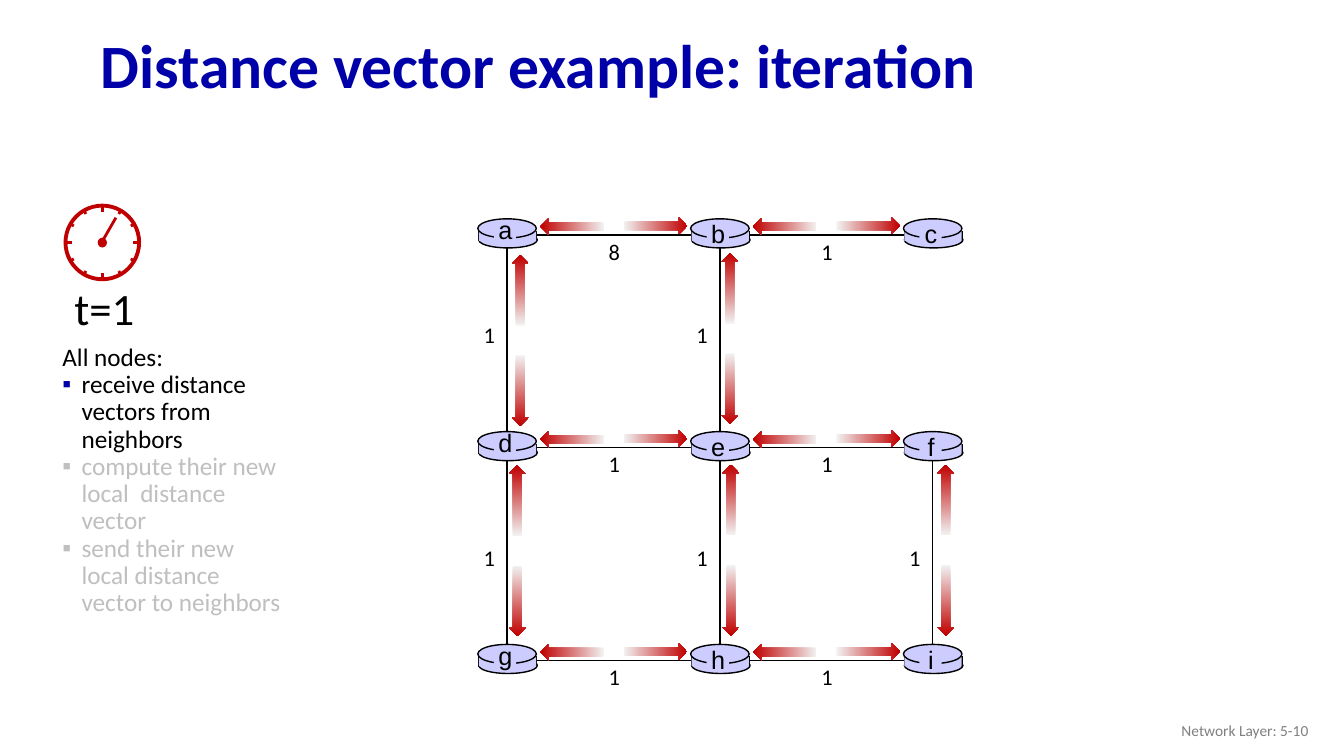
from math import cos, pi, sin

from lxml import etree
from pptx import Presentation
from pptx.dml.color import RGBColor
from pptx.enum.shapes import MSO_CONNECTOR, MSO_SHAPE
from pptx.enum.text import MSO_ANCHOR, MSO_AUTO_SIZE, PP_ALIGN
from pptx.oxml.ns import qn
from pptx.util import Pt

STRAIGHT = MSO_CONNECTOR.STRAIGHT
RECTANGLE, OVAL, ARROW = MSO_SHAPE.RECTANGLE, MSO_SHAPE.OVAL, MSO_SHAPE.RIGHT_ARROW
MIDDLE, TOP = MSO_ANCHOR.MIDDLE, MSO_ANCHOR.TOP
LEFT, CENTER, RIGHT = PP_ALIGN.LEFT, PP_ALIGN.CENTER, PP_ALIGN.RIGHT
NO_AUTOSIZE = MSO_AUTO_SIZE.NONE

BLACK, WHITE, BLUE, RED = "000000", "FFFFFF", "0000A8", "C00000"
PALE_RED, LILAC, GRAY, FADED = "F2F2F2", "CCCCFF", "7F7F7F", "BFBFBF"

SPACING = 152
COLUMNS = [362.2 + SPACING * index for index in range(3)]
ROWS = [167.8 + SPACING * index for index in range(3)]
NODE_ROWS = ["abc", "def", "ghi"]
ROW_COSTS = ["81", "11", "11"]
# column, row, arrow offset from the link, upper arrow's distance from the node, label's distance
VERTICAL_LINKS = [
    (0, 0, 9.4, 39.6, 58),
    (1, 0, 7.2, 38.2, 58),
    (0, 1, 7.2, 37.8, 65.4),
    (1, 1, 7.9, 37.4, 65.4),
    (2, 1, 9.4, 37.4, 65.4),
]
STEPS = [
    ("All nodes:", BLACK, None),
    ("receive distance vectors from neighbors", BLACK, BLUE),
    ("compute their new local  distance vector", FADED, FADED),
    ("send their new local distance vector to neighbors", FADED, FADED),
]


def rgb(value):
    """Turn a hex string into a colour."""
    return RGBColor.from_string(value)


def place(shape, left, top, width, height):
    """Set a shape's position and size in points."""
    shape.left, shape.top = Pt(left), Pt(top)
    shape.width, shape.height = Pt(width), Pt(height)


def format_paragraph(paragraph, size, color, font="Calibri", align=LEFT, bold=False):
    """Set the alignment and font of a paragraph."""
    paragraph.alignment = align
    paragraph.font.size, paragraph.font.name = Pt(size), font
    paragraph.font.bold, paragraph.font.color.rgb = bold, rgb(color)


def add_text(slide, text, box, size, color=BLACK, font="Calibri", align=LEFT, anchor=TOP):
    """Add a one-line text box."""
    shape = slide.shapes.add_textbox(*map(Pt, box))
    frame = shape.text_frame
    frame.word_wrap, frame.vertical_anchor = False, anchor
    frame.text = text
    format_paragraph(frame.paragraphs[0], size, color, font, align)


def add_shape(slide, kind, box, fill=None, line=None, width=1):
    """Add a preset shape with an optional fill and outline."""
    shape = slide.shapes.add_shape(kind, *map(Pt, box))
    shape.shadow.inherit = False
    if fill:
        shape.fill.solid()
        shape.fill.fore_color.rgb = rgb(fill)
    else:
        shape.fill.background()
    if line:
        shape.line.color.rgb, shape.line.width = rgb(line), Pt(width)
    else:
        shape.line.fill.background()
    return shape


def add_line(slide, start, end, color=BLACK, width=1):
    """Add a straight line between two points."""
    connector = slide.shapes.add_connector(STRAIGHT, *map(Pt, (*start, *end)))
    connector.line.color.rgb, connector.line.width = rgb(color), Pt(width)
    etree.SubElement(connector._element.spPr, qn("a:effectLst"))
    return connector


def add_arrow(slide, center_x, center_y, length, rotation):
    """Add a block arrow that fades in towards its tip."""
    box = (center_x - length / 2, center_y - 6.1, length, 12.2)
    arrow = add_shape(slide, ARROW, box)
    arrow.rotation = rotation
    arrow.fill.gradient()
    arrow.fill.gradient_angle = 0
    for stop, color in zip(arrow.fill.gradient_stops, (PALE_RED, RED)):
        stop.color.rgb = rgb(color)


def add_title(slide, text):
    """Fill the title placeholder."""
    title = slide.shapes.title
    place(title, 64.8, 13.7, 828, 70.6)
    title.text_frame.text = text
    title.text_frame.vertical_anchor = MIDDLE
    title.text_frame.paragraphs[0].line_spacing = 0.9
    format_paragraph(title.text_frame.paragraphs[0], 44, BLUE, bold=True)


def set_bullet(paragraph, color):
    """Give a paragraph a square bullet, or none without a colour."""
    properties = paragraph._p.get_or_add_pPr()
    indent = Pt(13.7) if color else 0
    properties.set("marL", str(indent))
    properties.set("indent", str(-indent))
    if color:
        bullet_color = etree.SubElement(properties, qn("a:buClr"))
        etree.SubElement(bullet_color, qn("a:srgbClr"), val=color)
        etree.SubElement(properties, qn("a:buFont"), typeface="Arial")
        etree.SubElement(properties, qn("a:buChar"), char="▪")
    else:
        etree.SubElement(properties, qn("a:buNone"))


def add_steps(slide):
    """Fill the body placeholder with the steps of one iteration."""
    body = slide.placeholders[1]
    place(body, 37.4, 242.6, 172.8, 203.8)
    frame = body.text_frame
    frame.auto_size, frame.vertical_anchor = NO_AUTOSIZE, TOP
    frame.text = "\n".join(text for text, _, _ in STEPS)
    for paragraph, (_, color, bullet_color) in zip(frame.paragraphs, STEPS):
        paragraph.line_spacing, paragraph.space_before = 0.9, Pt(0)
        set_bullet(paragraph, bullet_color)
        format_paragraph(paragraph, 18, color)


def add_clock(slide, center_x, center_y):
    """Draw the clock with twelve ticks, a hub and one hand."""
    add_shape(slide, OVAL, (center_x - 26.3, center_y - 26.3, 52.6, 52.6), line=RED, width=2.75)
    for hour in range(12):
        angle = hour * pi / 6
        inner = 22 if hour % 3 == 0 else 23.5
        start, end = [
            (center_x + radius * sin(angle), center_y - radius * cos(angle))
            for radius in (inner, 27)
        ]
        add_line(slide, start, end, RED, 2)
    add_shape(slide, OVAL, (center_x - 3.3, center_y - 3.4, 6.6, 7), fill=RED)
    add_line(slide, (center_x + 9.7, center_y - 17.7), (center_x - 1.1, center_y + 1), RED, 2)


def add_links(slide):
    """Draw the grid of links, leaving out the one from c to f."""
    left, middle_x, right = COLUMNS
    top, middle_y, bottom = ROWS
    square = add_shape(slide, RECTANGLE, (left, top, right - left, bottom - top), line=BLACK)
    vertical = add_line(slide, (middle_x, bottom), (middle_x, top))
    vertical.begin_connect(square, 2)
    vertical.end_connect(square, 0)
    horizontal = add_line(slide, (left, middle_y), (right, middle_y))
    horizontal.begin_connect(square, 1)
    horizontal.end_connect(square, 3)
    add_shape(slide, RECTANGLE, (right - 6.5, top + 5.7, 10, 146.2), fill=WHITE)


def add_node(slide, name, x, y, label_top):
    """Draw a router disc with its letter."""
    add_shape(slide, OVAL, (x - 20.2, y - 2.2, 41.8, 11.5), LILAC, BLACK)
    for side in (x - 20.2, x + 21):
        add_line(slide, (side, y - 2.9), (side, y + 4.3))
    add_shape(slide, RECTANGLE, (x - 20.2, y - 2.9, 41, 7.2), LILAC)
    add_shape(slide, OVAL, (x - 20.9, y - 11.5, 41.8, 13.7), LILAC, BLACK)
    add_shape(slide, RECTANGLE, (x - 9.4, y - 7.9, 15.8, 14.4), LILAC)
    add_text(slide, name, (x - 13.4, label_top, 24.5, 28.8), 18, font="Arial", align=CENTER)


def add_cost(slide, cost, left, top):
    """Write the cost of a link."""
    add_text(slide, cost, (left, top, 23.8, 26.6), 16)


def main():
    """Build the slide and save it."""
    presentation = Presentation()
    presentation.slide_width, presentation.slide_height = Pt(960), Pt(540)
    slide = presentation.slides.add_slide(presentation.slide_layouts[1])
    add_title(slide, "Distance vector example: iteration")
    add_text(slide, "Network Layer: 5-10", (725.8, 507.6, 216, 28.8), 11, GRAY,
             align=RIGHT, anchor=MIDDLE)
    add_steps(slide)
    add_text(slide, "t=1", (46.1, 197.3, 58.3, 46.1), 32)
    add_clock(slide, 73.1, 173.2)
    add_links(slide)
    for y, names, costs in zip(ROWS, NODE_ROWS, ROW_COSTS):
        for x, name in zip(COLUMNS, names):
            add_node(slide, name, x, y, y - (18 if x == COLUMNS[0] else 15.1))
        for x, cost in zip(COLUMNS, costs):
            add_cost(slide, cost, x + 65.5, y - 1.5)
            add_arrow(slide, x + 46.5, y - 6, 45.4, 180)
            add_arrow(slide, x + 106, y - 6.4, 45.4, 0)
    for column, row, offset, distance, label_distance in VERTICAL_LINKS:
        x, y = COLUMNS[column], ROWS[row]
        add_cost(slide, "1", x - 23.8, y + label_distance)
        add_arrow(slide, x + offset, y + distance, 50.4, 270)
        add_arrow(slide, x + offset, y + distance + 71.6, 50.4, 90)
    presentation.save("out.pptx")


if __name__ == "__main__":
    main()
